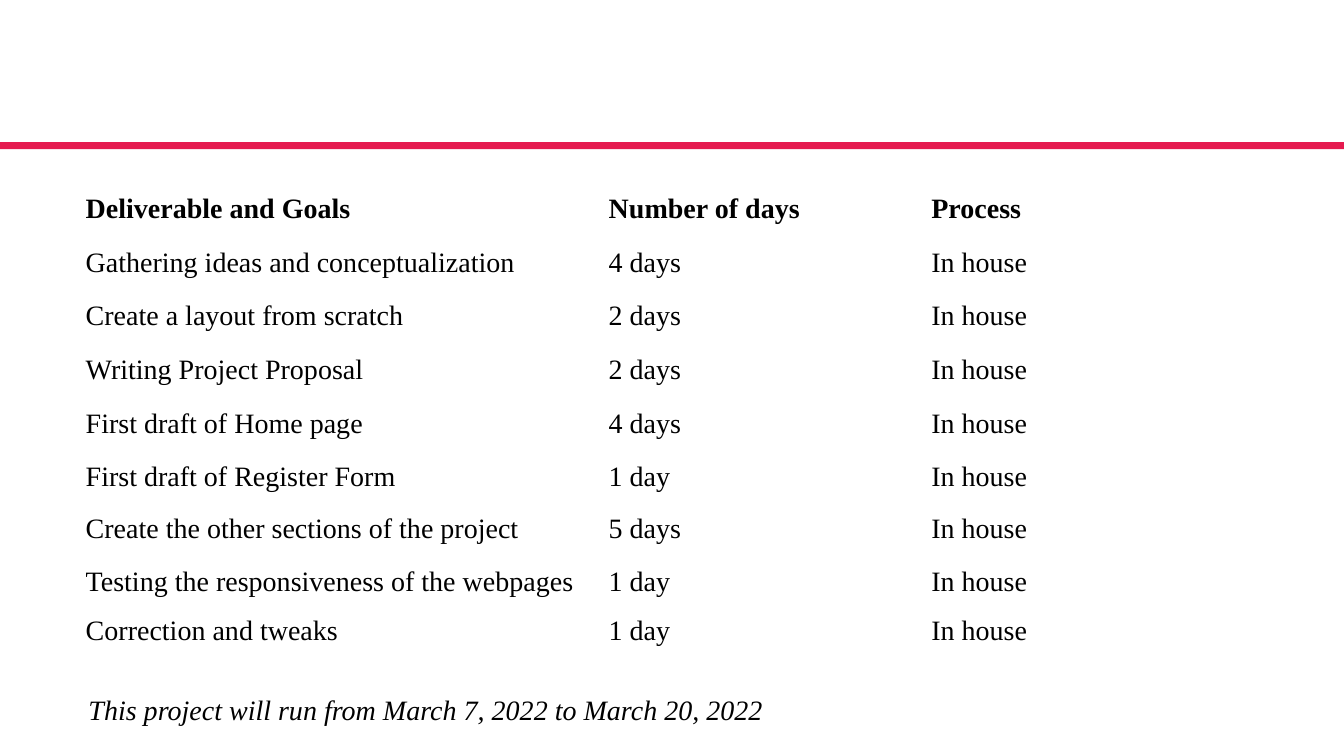
from typing import NamedTuple

from lxml.etree import SubElement
from pptx import Presentation
from pptx.dml.color import RGBColor
from pptx.enum.shapes import MSO_SHAPE
from pptx.enum.text import MSO_ANCHOR, PP_ALIGN
from pptx.oxml.ns import qn
from pptx.slide import Slide
from pptx.table import _Cell
from pptx.text.text import TextFrame
from pptx.util import Cm, Pt

RED = RGBColor(0xE5, 0x1A, 0x4F)
BLACK = RGBColor(0, 0, 0)
WHITE = RGBColor(0xFF, 0xFF, 0xFF)
FONT = "Times New Roman"
WIDE, HIGH = Cm(33.87), Cm(19.05)
LEFT = Cm(1.98)
COLS = (13.18, 8.13, 8.64)
HEADS = ("Deliverable and Goals", "Number of days", "Process")


class Task(NamedTuple):
    goal: str
    days: str
    high: float = 1.35
    place: str = "In house"


TASKS = (
    Task("Gathering ideas and conceptualization", "4 days"),
    Task("Create a layout from scratch", "2 days"),
    Task("Writing Project Proposal", "2 days"),
    Task("First draft of Home page", "4 days"),
    Task("First draft of Register Form", "1 day", 1.3),
    Task("Create the other sections of the project", "5 days"),
    Task("Testing the responsiveness of the webpages", "1 day", 1.24),
    Task("Correction and tweaks", "1 day", 1.24),
)


def write(frame: TextFrame, text: str, pad: float, bold: bool = False,
          italic: bool = False) -> None:
    frame.text = text
    frame.margin_left = frame.margin_right = Cm(pad)
    frame.margin_top = frame.margin_bottom = Cm(pad)
    line = frame.paragraphs[0]
    line.alignment = PP_ALIGN.LEFT
    font = line.runs[0].font
    font.name, font.size = FONT, Pt(20)
    font.bold, font.italic = bold, italic
    font.color.rgb = BLACK


def edge(cell: _Cell) -> None:
    """Give the cell a thin white border; call before its fill is set."""
    props = cell._tc.get_or_add_tcPr()
    for side in ("a:lnL", "a:lnR", "a:lnT", "a:lnB"):
        line = SubElement(props, qn(side), w=str(Pt(1)))
        fill = SubElement(line, qn("a:solidFill"))
        SubElement(fill, qn("a:srgbClr"), val=str(WHITE))


def fill_cell(cell: _Cell, text: str, bold: bool) -> None:
    edge(cell)
    cell.fill.solid()
    cell.fill.fore_color.rgb = WHITE
    cell.vertical_anchor = MSO_ANCHOR.TOP
    write(cell.text_frame, text, 0.18, bold)
    cell.margin_left = cell.margin_right = Cm(0.18)
    cell.margin_top = cell.margin_bottom = Cm(0.18)


def add_bar(slide: Slide) -> None:
    bar = slide.shapes.add_shape(MSO_SHAPE.RECTANGLE, 0, Cm(3.58), WIDE, Cm(0.18))
    bar.shadow.inherit = False
    bar.fill.solid()
    bar.fill.fore_color.rgb = RED
    bar.line.fill.background()


def add_plan(slide: Slide) -> None:
    rows = [HEADS] + [(task.goal, task.days, task.place) for task in TASKS]
    highs = [1.35] + [task.high for task in TASKS]
    frame = slide.shapes.add_table(len(rows), len(COLS), LEFT, Cm(4.7),
                                   Cm(sum(COLS)), Cm(sum(highs)))
    plan = frame.table
    plan.first_row = plan.horz_banding = False
    for col, wide in zip(plan.columns, COLS):
        col.width = Cm(wide)
    for i, (row, high, texts) in enumerate(zip(plan.rows, highs, rows)):
        row.height = Cm(high)
        for cell, text in zip(row.cells, texts):
            fill_cell(cell, text, bold=i == 0)


def add_note(slide: Slide) -> None:
    note = slide.shapes.title
    note.left, note.top = LEFT, Cm(17.02)
    note.width, note.height = Cm(18.9), Cm(1.6)
    frame = note.text_frame
    write(frame, "This project will run from March 7, 2022 to March 20, 2022",
          0.25, italic=True)
    frame.word_wrap = True
    frame.vertical_anchor = MSO_ANCHOR.MIDDLE
    frame.paragraphs[0].line_spacing = 1.15


def main() -> None:
    deck = Presentation()
    deck.slide_width, deck.slide_height = WIDE, HIGH
    slide = deck.slides.add_slide(deck.slide_layouts.get_by_name("Title Only"))
    add_bar(slide)
    add_plan(slide)
    add_note(slide)
    deck.save("out.pptx")


if __name__ == "__main__":
    main()
